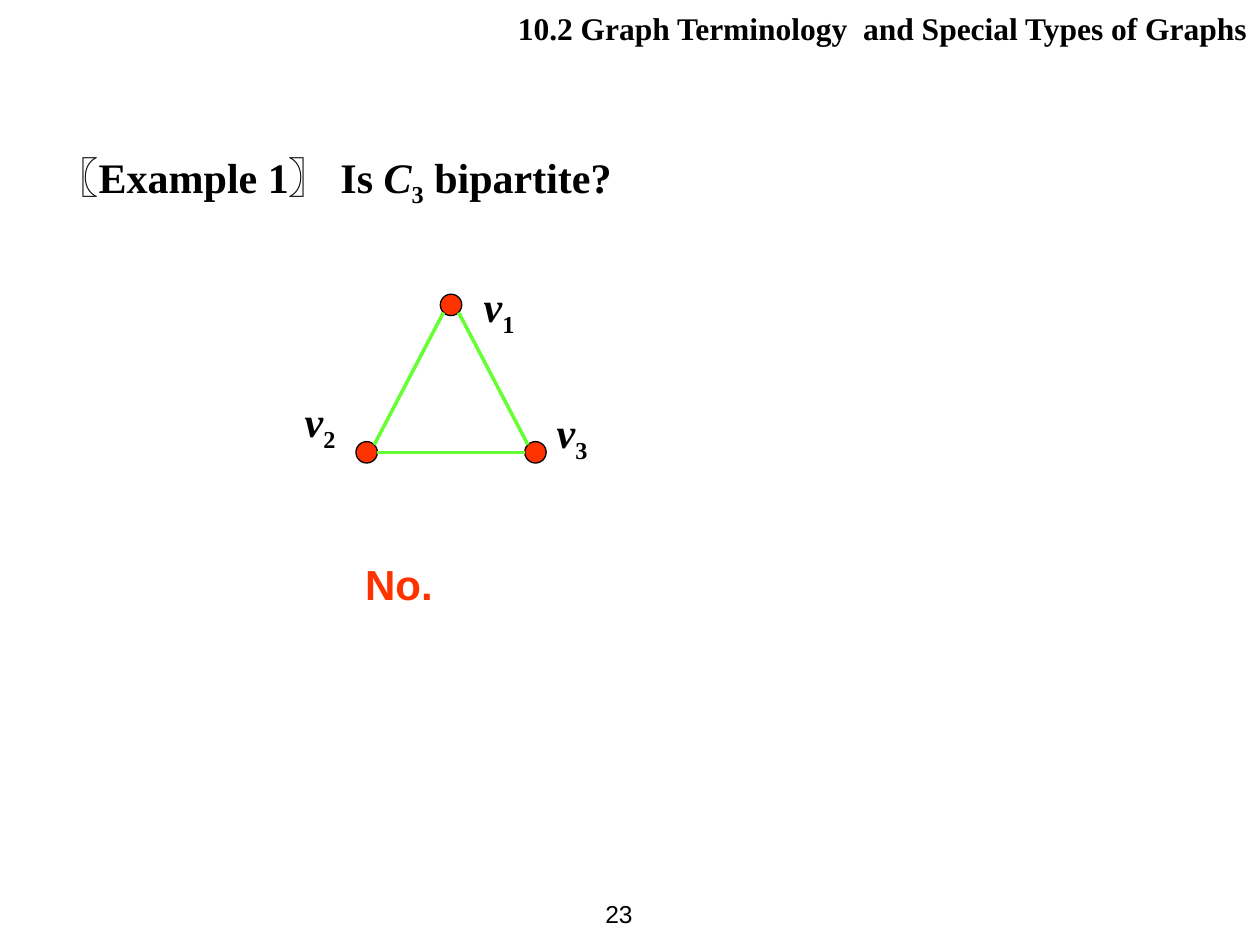
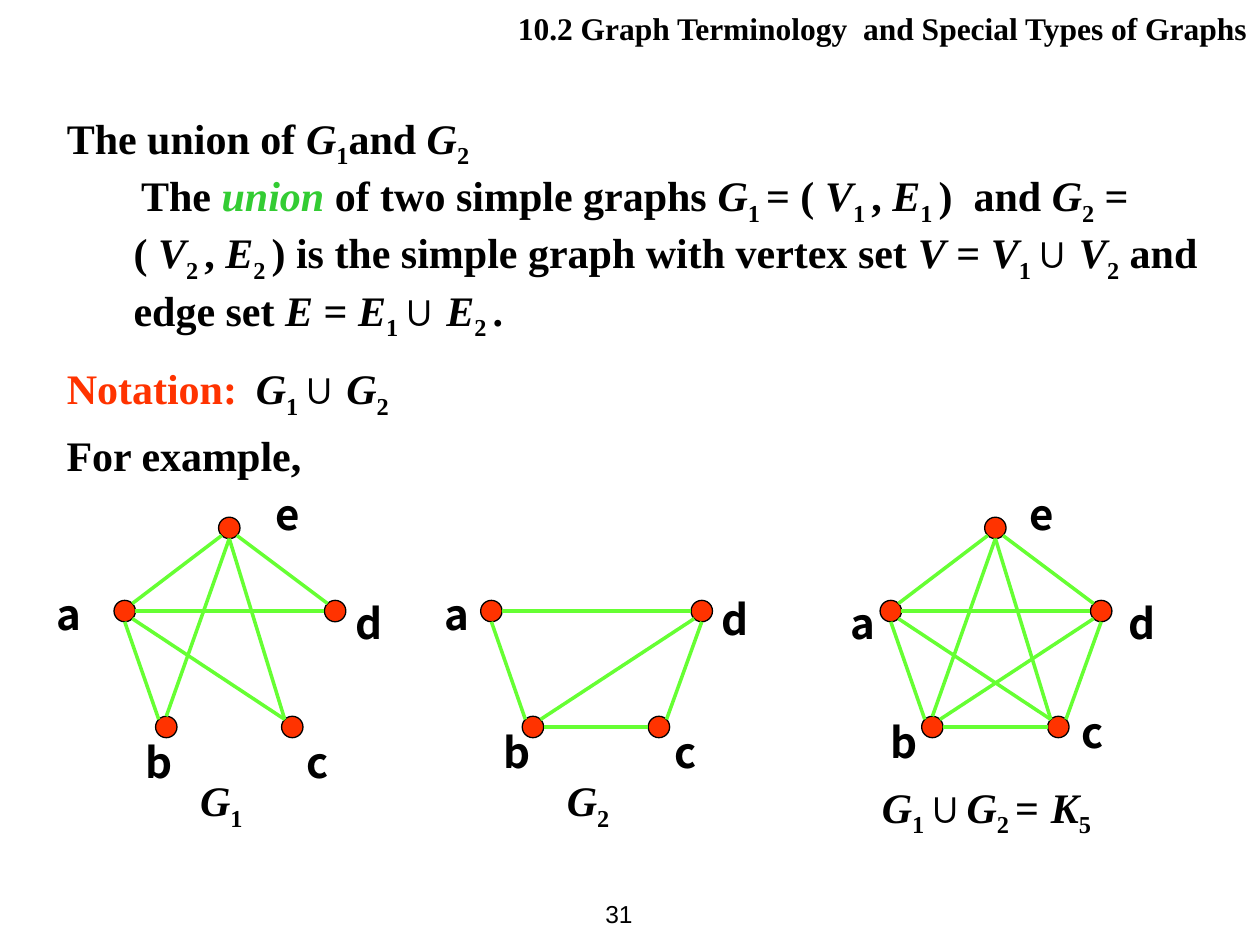
from math import cos, pi, sin

from lxml.etree import SubElement
from pptx import Presentation
from pptx.dml.color import RGBColor
from pptx.enum.shapes import MSO_CONNECTOR as Connector, MSO_SHAPE as Preset
from pptx.enum.text import MSO_ANCHOR as Anchor, MSO_AUTO_SIZE as AutoSize, PP_ALIGN as Align
from pptx.oxml.ns import qn
from pptx.util import Inches, Pt

BLACK, RED, GREEN, EDGE_GREEN = "000000", "FF3300", "33CC33", "66FF33"
SERIF, SANS, LABEL_FONT = "Times New Roman", "Arial", "Noto Sans CJK SC"
HEADER = "10.2 Graph Terminology  and Special Types of Graphs"
STYLES = {
    "*": {"italic": True},
    "_": {"subscript": True},
    "^": {"font": SANS},
    "+": {"italic": True, "color": GREEN},
    "!": {"color": RED},
}
NODE_SIZE = 0.17
COMPASS = ["E", "SE", "S", "SW", "W", "NW", "N", "NE"]

TRIANGLE_NODES = {"1": (0.67, -1.17), "2": (0, 0), "3": (1.34, 0)}
TRIANGLE_EDGES = {"21": ("NE", "SW"), "23": ("E", "W"), "31": ("NW", "SE")}
TRIANGLE_LABELS = {"1": (3.74, 2.18), "2": (2.32, 3.09), "3": (4.32, 3.18)}

PENTAGON_NODES = {
    "a": (0, 0), "b": (0.33, 0.92), "c": (1.33, 0.92), "d": (1.67, 0), "e": (0.83, -0.66),
}
PENTAGON_EDGES = {
    "ab": ("S", "NW"), "bc": ("E", "W"), "cd": ("NE", "S"), "de": ("NW", "SE"),
    "ae": ("NE", "SW"), "eb": ("S", "N"), "ec": ("S", "NW"), "ad": ("E", "W"),
    "ac": ("SE", "NW"), "bd": ("NE", "SW"),
}
G1_EDGES = ["ab", "de", "ae", "eb", "ec", "ad", "ac"]
G2_EDGES = ["ab", "bc", "cd", "ad", "bd"]
G1_LABELS = {
    "a": (0.35, 4.62), "b": (1.06, 5.8), "c": (2.32, 5.8), "d": (2.72, 4.69), "e": (2.09, 3.83),
}
G2_LABELS = {"a": (3.43, 4.62), "b": (3.9, 5.72), "c": (5.24, 5.72), "d": (5.63, 4.66)}
UNION_LABELS = {
    "a": (6.65, 4.69), "b": (6.97, 5.64), "c": (8.47, 5.56), "d": (8.86, 4.69), "e": (8.07, 3.83),
}

UNION_DEFINITION = (
    "The |+union| of two simple graphs |*G|_1 |= ( |*V|_1 |,|* E|_1 |)  and |*G|_2| = ( "
    "|*V|_2 |,|* E|_2 |) is the simple graph with vertex set |*V| = |*V|_1 |^∪ |*V|_2"
    "| and edge set |*E| = |*E|_1 |^∪ |*E|_2 |."
)


def rgb(color):
    return RGBColor.from_string(color)


def write(para, markup, size=24, font=SERIF, bold=True, align=Align.LEFT):
    para.alignment = align
    para.space_before = Pt(0)
    for piece in markup.split("|"):
        style = STYLES.get(piece[0], {})
        span = para.add_run()
        span.text = piece[1:] if style else piece
        span.font.size = Pt(size)
        span.font.name = style.get("font", font)
        span.font.bold = bold
        span.font.italic = style.get("italic", False)
        span.font.color.rgb = rgb(style.get("color", BLACK))
        if style.get("subscript"):
            span._r.get_or_add_rPr().set("baseline", "-25000")


def indent(para, margin, first_line, tab=None):
    properties = para._p.get_or_add_pPr()
    properties.set("marL", str(Inches(margin)))
    properties.set("indent", str(Inches(first_line)))
    SubElement(properties, qn("a:buNone"))
    if tab:
        stops = SubElement(properties, qn("a:tabLst"))
        SubElement(stops, qn("a:tab"), pos=str(Inches(tab)), algn="l")


def place(box, left, top, width, height, anchor=Anchor.TOP):
    box.left, box.top, box.width, box.height = map(Inches, (left, top, width, height))
    frame = box.text_frame
    frame.word_wrap = True
    frame.auto_size = AutoSize.NONE
    frame.vertical_anchor = anchor
    return frame


def add_text(shapes, markup, left, top, width, height=0.56, anchor=Anchor.TOP, **style):
    box = shapes.add_textbox(0, 0, 0, 0)
    frame = place(box, left, top, width, height, anchor)
    write(frame.paragraphs[0], markup, **style)


def add_page(deck, number):
    page = deck.slides.add_slide(deck.slide_layouts[1])
    header = place(page.shapes.title, 3.98, 0.02, 6.02, 0.7)
    write(header.paragraphs[0], HEADER, size=18, align=Align.RIGHT)
    add_text(page.shapes, number, 4.45, 7, 0.67, 0.5, Anchor.MIDDLE,
             size=14, font=SANS, bold=False, align=Align.RIGHT)
    return page


def add_node(shapes, x, y):
    corner = Inches(x - NODE_SIZE / 2), Inches(y - NODE_SIZE / 2)
    node = shapes.add_shape(Preset.FLOWCHART_CONNECTOR, *corner,
                            Inches(NODE_SIZE), Inches(NODE_SIZE))
    node.shadow.inherit = False
    node.fill.solid()
    node.fill.fore_color.rgb = rgb(RED)
    node.line.color.rgb = rgb(BLACK)
    node.line.width = Pt(0.75)


def rim_point(center, direction):
    angle = COMPASS.index(direction) * pi / 4
    radius = NODE_SIZE / 2
    return Inches(center[0] + radius * cos(angle)), Inches(center[1] + radius * sin(angle))


def add_edge(shapes, start, end):
    edge = shapes.add_connector(Connector.STRAIGHT, *start, *end)
    edge.line.color.rgb = rgb(EDGE_GREEN)
    edge.line.width = Pt(2)
    SubElement(edge._element.spPr, qn("a:effectLst"))


def add_graph(page, left, top, nodes, edges, sites):
    shapes = page.shapes.add_group_shape().shapes
    used = sorted(set("".join(edges)))
    centers = {name: (left + nodes[name][0], top + nodes[name][1]) for name in used}
    for center in centers.values():
        add_node(shapes, *center)
    for edge in edges:
        start, end = (rim_point(centers[name], site) for name, site in zip(edge, sites[edge]))
        add_edge(shapes, start, end)


def add_pentagon_graph(page, left, edges, labels):
    add_graph(page, left, 4.85, PENTAGON_NODES, edges, PENTAGON_EDGES)
    for name, (x, y) in labels.items():
        add_text(page.shapes, name, x, y, 0.39, 0.5, font=LABEL_FONT, align=Align.RIGHT)


def build_bipartite_page(deck):
    page = add_page(deck, "23")
    question = place(page.placeholders[1], 0.35, 1.15, 9.08, 0.56).paragraphs[0]
    write(question, "^〖|Example 1|^〗 |Is |*C|_3| bipartite?")
    indent(question, 0.5, -0.5)
    add_graph(page, 2.91, 3.59, TRIANGLE_NODES, TRIANGLE_EDGES, TRIANGLE_EDGES)
    for name, (x, y) in TRIANGLE_LABELS.items():
        add_text(page.shapes, f"*v|_{name}", x, y, 0.75)
    add_text(page.shapes, "!No.", 2.8, 4.38, 3.76, font=SANS)


def build_union_page(deck):
    page = add_page(deck, "31")
    body = place(page.placeholders[1], 0.43, 0.84, 9.21, 2.54)
    heading, definition, notation = body.paragraphs[0], body.add_paragraph(), body.add_paragraph()
    write(heading, "The union of |*G|_1|and|* G|_2")
    indent(heading, 0.53, -0.53)
    write(definition, UNION_DEFINITION)
    indent(definition, 0.53, 0.06)
    write(notation, "!Notation:\t|*G|_1 |^∪ |*G|_2")
    notation.space_before = Pt(12)
    indent(notation, 0, 0, tab=1.77)
    add_text(page.shapes, "For example,", 0.43, 3.36, 9.08, 0.5)

    add_pentagon_graph(page, 0.99, G1_EDGES, G1_LABELS)
    add_pentagon_graph(page, 3.9, G2_EDGES, G2_LABELS)
    add_pentagon_graph(page, 7.07, list(PENTAGON_EDGES), UNION_LABELS)
    add_text(page.shapes, "*G|_1", 1.49, 6.1, 0.71)
    add_text(page.shapes, "*G|_2", 4.4, 6.1, 0.71)
    add_text(page.shapes, "*G|_1 |^∪|_ |*G|_2 |=|^ |*K|_5", 6.9, 6.15, 2.5)


def main():
    deck = Presentation()
    deck.slide_width, deck.slide_height = Inches(10), Inches(7.5)
    build_bipartite_page(deck)
    build_union_page(deck)
    deck.save("out.pptx")


if __name__ == "__main__":
    main()
